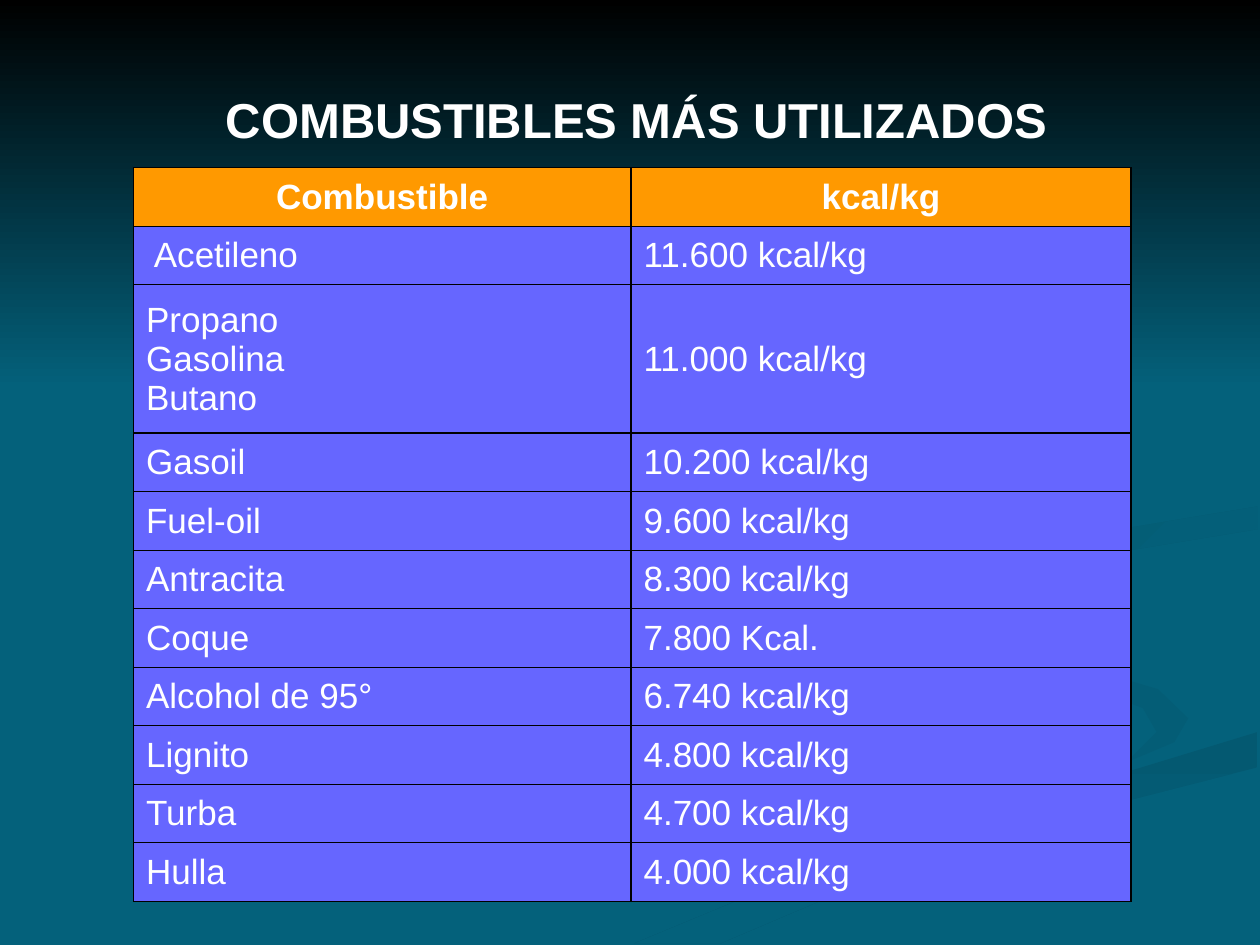
from lxml import etree
from pptx import Presentation
from pptx import util as u
from pptx.dml import color
from pptx.enum import text
from pptx.oxml import ns

TITLE = "COMBUSTIBLES MÁS UTILIZADOS"
HEAD = ("Combustible", "kcal/kg")
FUELS = [
    (" Acetileno", "11.600 kcal/kg"),
    ("Propano\nGasolina\nButano", "11.000 kcal/kg"),
    ("Gasoil", "10.200 kcal/kg"),
    ("Fuel-oil", "9.600 kcal/kg"),
    ("Antracita", "8.300 kcal/kg"),
    ("Coque", "7.800 Kcal."),
    ("Alcohol de 95°", "6.740 kcal/kg"),
    ("Lignito", "4.800 kcal/kg"),
    ("Turba", "4.700 kcal/kg"),
    ("Hulla", "4.000 kcal/kg"),
]
TEAL, WHITE, BLACK, ORANGE, BLUE = "04617B", "FFFFFF", "000000", "FF9900", "6666FF"

# Backdrop: start colour, end colour, clockwise angle, outline in 1/100 inch
UNIT = u.Cm(2.54) / 100
RIBBONS = [
    (TEAL, "045D76", 0, [
        (300, 749), (458, 674), (785, 570), (575, 459), (800, 581), (361, 749)]),
    (TEAL, "045D76", 45, [
        (724, 464), (838, 536), (907, 562), (918, 581), (894, 605), (932, 589),
        (943, 570), (919, 547), (792, 509)]),
    ("045971", TEAL, 90, [
        (503, 749), (696, 669), (903, 610), (998, 581), (998, 609), (752, 672),
        (571, 749)]),
    ("045C74", TEAL, 45, [
        (782, 460), (826, 496), (805, 472), (859, 443), (998, 420), (998, 402),
        (865, 424)]),
    (BLACK, TEAL, 90, [(0, 0), (0, 308), (1000, 308), (1000, 0)]),
]


def rgb(code):
    return color.RGBColor.from_string(code)


def write(frame, words, size=20, bold=False, align=text.PP_ALIGN.LEFT):
    frame.word_wrap = True
    frame.vertical_anchor = text.MSO_ANCHOR.MIDDLE
    para = frame.paragraphs[0]
    para.text = words.replace("\n", "\v")
    para.alignment = align
    for run in para.runs:
        font = run.font
        font.name, font.size, font.bold = "Arial", u.Pt(size), bold
        font.color.rgb = rgb(WHITE)


def ribbon(slide, start, end, angle, points):
    pen = slide.shapes.build_freeform(*points[0], scale=UNIT)
    pen.add_line_segments(points[1:], close=True)
    shape = pen.convert_to_shape()
    shape.shadow.inherit = False
    shape.line.fill.background()
    shape.fill.gradient()
    shape.fill.gradient_angle = -angle % 360
    for stop, code in zip(shape.fill.gradient_stops, (start, end)):
        stop.color.rgb = rgb(code)


def border(cell):
    props = cell._tc.get_or_add_tcPr()
    for side in ("lnL", "lnR", "lnT", "lnB"):
        line = etree.SubElement(props, ns.qn("a:" + side), w=str(u.Pt(0.75)))
        fill = etree.SubElement(line, ns.qn("a:solidFill"))
        etree.SubElement(fill, ns.qn("a:srgbClr"), val=BLACK)


def list_fuels(slide):
    """Add the table of fuels, each row as tall as its lines need."""
    rows = [HEAD] + FUELS
    widths = (u.Cm(10.03), u.Cm(10.08))
    tall = [u.Cm(2.99 if "\n" in name else 1.18) for name, _ in rows]
    grid = slide.shapes.add_table(len(rows), len(HEAD), u.Cm(2.69), u.Cm(3.38),
                                  sum(widths), sum(tall)).table
    grid.horz_banding = False
    for col, width in zip(grid.columns, widths):
        col.width = width
    for r, row in enumerate(rows):
        grid.rows[r].height = tall[r]
        head = r == 0
        for c, words in enumerate(row):
            cell = grid.cell(r, c)
            border(cell)
            cell.fill.solid()
            cell.fill.fore_color.rgb = rgb(ORANGE if head else BLUE)
            write(cell.text_frame, words, bold=head,
                  align=text.PP_ALIGN.CENTER if head else text.PP_ALIGN.LEFT)
            cell.vertical_anchor = text.MSO_ANCHOR.MIDDLE


def main():
    deck = Presentation()
    deck.slide_width, deck.slide_height = u.Cm(25.4), u.Cm(19.05)
    slide = deck.slides.add_slide(deck.slide_layouts[6])
    slide.background.fill.solid()
    slide.background.fill.fore_color.rgb = rgb(TEAL)
    for item in RIBBONS:
        ribbon(slide, *item)
    box = slide.shapes.add_textbox(u.Cm(1.4), u.Cm(0.8), u.Cm(22.86), u.Cm(3.18))
    write(box.text_frame, TITLE, size=28, bold=True, align=text.PP_ALIGN.CENTER)
    list_fuels(slide)
    deck.save("out.pptx")


if __name__ == "__main__":
    main()
